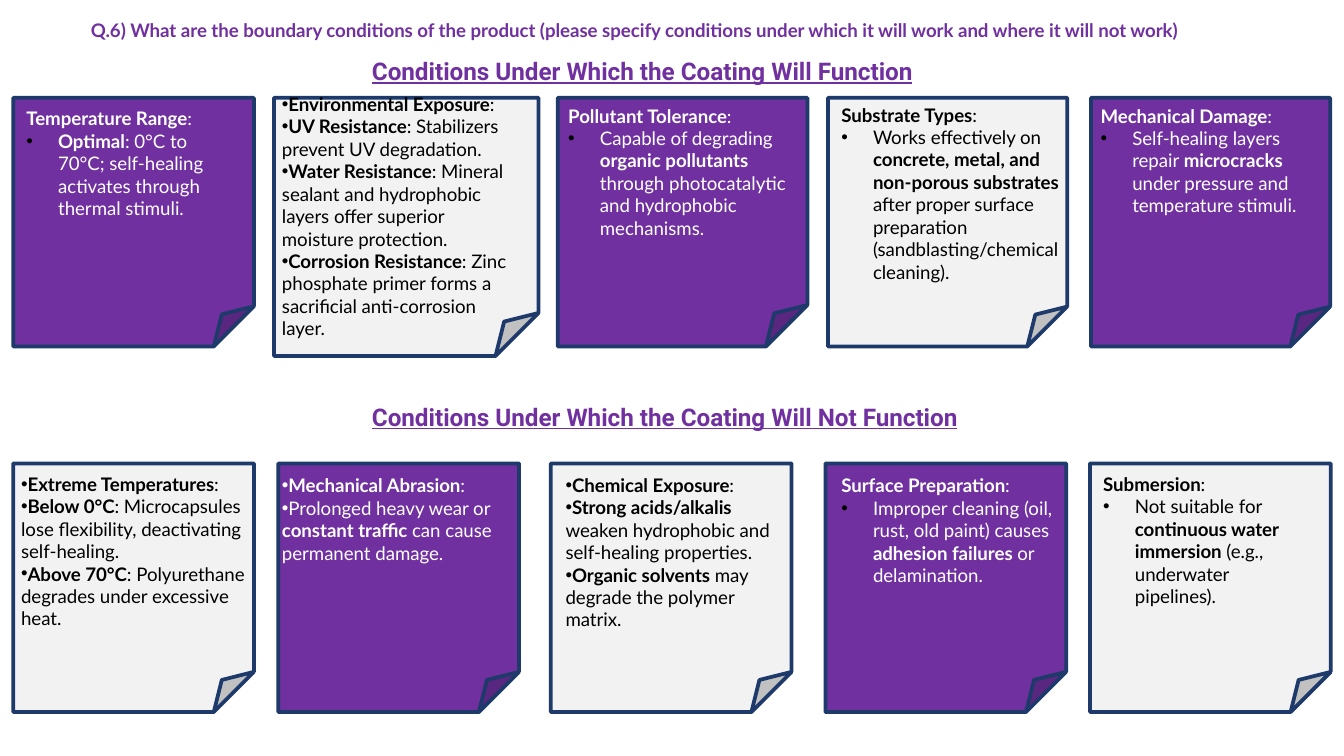
from dataclasses import dataclass

from lxml.etree import SubElement
from pptx import Presentation
from pptx.dml.color import RGBColor
from pptx.enum.shapes import MSO_SHAPE as Shape
from pptx.enum.text import MSO_AUTO_SIZE as AutoSize
from pptx.oxml.ns import qn
from pptx.util import Cm, Pt

PURPLE = RGBColor(0x70, 0x30, 0xA0)
LIGHT = RGBColor(0xF2, 0xF2, 0xF2)
NAVY = RGBColor(0x1D, 0x3A, 0x6B)
WHITE = RGBColor(0xFF, 0xFF, 0xFF)
BLACK = RGBColor(0x00, 0x00, 0x00)

HANGING = 0.6  # bullet indent in cm


@dataclass
class Note:
    card: tuple    # left, top, width, height in cm
    text: tuple    # left, top, width, height in cm
    lines: list    # heading first; *asterisks* enclose bold words
    inline: bool = False  # bullets sit directly before the words, heading too


# Top row: conditions under which the coating works
WORKS = [
    Note((0.25, 1.85, 4.55, 4.7), (0.25, 1.9, 4.19, 1.96), [
        "*Temperature Range*:",
        "*Optimal*: 0°C to 70°C; self-healing activates through thermal stimuli."]),
    Note((5.18, 1.85, 5, 4.88), (5.08, 1.63, 4.93, 4.95), [
        "*Environmental Exposure*:",
        "*UV Resistance*: Stabilizers prevent UV degradation.",
        "*Water Resistance*: Mineral sealant and hydrophobic layers offer "
        "superior moisture protection.",
        "*Corrosion Resistance*: Zinc phosphate primer forms a sacrificial "
        "anti-corrosion layer."], inline=True),
    Note((10.54, 1.85, 4.72, 4.7), (10.49, 1.85, 4.93, 2.39), [
        "*Pollutant Tolerance*:",
        "Capable of degrading *organic pollutants* through photocatalytic "
        "and hydrophobic mechanisms."]),
    Note((15.65, 1.85, 4.52, 4.7), (15.65, 1.83, 4.78, 3.25), [
        "*Substrate Types*:",
        "Works effectively on *concrete, metal, and non-porous substrates* "
        "after proper surface preparation (sandblasting/chemical cleaning)."]),
    Note((20.62, 1.85, 4.52, 4.7), (20.55, 1.85, 4.7, 1.96), [
        "*Mechanical Damage*:",
        "Self-healing layers repair *microcracks* under pressure and "
        "temperature stimuli."]),
]

# Bottom row: conditions under which it fails
FAILS = [
    Note((0.25, 8.76, 4.55, 4.7), (0.15, 8.81, 4.8, 3.68), [
        "*Extreme Temperatures*:",
        "*Below 0°C*: Microcapsules lose flexibility, deactivating self-healing.",
        "*Above 70°C*: Polyurethane degrades under excessive heat."], inline=True),
    Note((5.26, 8.76, 4.55, 4.7), (5.08, 8.84, 4.93, 2.39), [
        "*Mechanical Abrasion*:",
        "Prolonged heavy wear or *constant traffic* can cause permanent damage."],
        inline=True),
    Note((10.41, 8.76, 4.55, 4.7), (10.44, 8.83, 4.55, 3.68), [
        "*Chemical Exposure*:",
        "*Strong acids/alkalis* weaken hydrophobic and self-healing properties.",
        "*Organic solvents* may degrade the polymer matrix."], inline=True),
    Note((15.6, 8.76, 4.55, 4.7), (15.65, 8.84, 4.5, 2.39), [
        "*Surface Preparation*:",
        "Improper cleaning (oil, rust, old paint) causes *adhesion failures* "
        "or delamination."]),
    Note((20.6, 8.76, 4.55, 4.7), (20.6, 8.81, 4.5, 2.39), [
        "*Submersion*:",
        "Not suitable for *continuous water immersion* (e.g., underwater "
        "pipelines)."]),
]


def add_bullet(paragraph, hanging, color):
    properties = paragraph._p.get_or_add_pPr()
    indent = Cm(HANGING) if hanging else 0
    properties.set("marL", str(indent))
    properties.set("indent", str(-indent))
    bullet_color = SubElement(properties, qn("a:buClr"))
    SubElement(bullet_color, qn("a:srgbClr"), val=str(color))
    SubElement(properties, qn("a:buFont"), typeface="Arial")
    SubElement(properties, qn("a:buChar"), char="•")


def add_runs(paragraph, marked_text, color, size=10, font="Lato", underline=None):
    """Add the text run by run; every second piece between asterisks is bold."""
    for index, piece in enumerate(marked_text.split("*")):
        if piece:
            run = paragraph.add_run()
            run.text = piece
            run.font.name = font
            run.font.size = Pt(size)
            run.font.bold = index % 2 == 1
            run.font.underline = underline
            run.font.color.rgb = color


def add_text_frame(slide, box):
    frame = slide.shapes.add_textbox(*map(Cm, box)).text_frame
    frame.word_wrap = True
    frame.auto_size = AutoSize.SHAPE_TO_FIT_TEXT
    return frame


def add_section_heading(slide, top, wording):
    frame = add_text_frame(slide, (6.78, top, 12.7, 0.81))
    add_runs(frame.paragraphs[0], f"*{wording}*", PURPLE, 13, "Roboto", True)


def add_card(slide, box, fill):
    card = slide.shapes.add_shape(Shape.FOLDED_CORNER, *map(Cm, box))
    card.shadow.inherit = False
    card.fill.solid()
    card.fill.fore_color.rgb = fill
    card.line.color.rgb = NAVY
    card.line.width = Pt(2)


def add_note_text(slide, note, color):
    frame = add_text_frame(slide, note.text)
    for index, line in enumerate(note.lines):
        paragraph = frame.add_paragraph() if index else frame.paragraphs[0]
        if note.inline:
            add_bullet(paragraph, False, color)
        elif index:
            add_bullet(paragraph, True, BLACK)
        add_runs(paragraph, line, color)


def main():
    deck = Presentation()
    deck.slide_width, deck.slide_height = Cm(25.4), Cm(14.29)
    slide = deck.slides.add_slide(deck.slide_layouts[6])

    # Question
    question = add_text_frame(slide, (1.47, 0.23, 23.32, 0.69))
    add_runs(question.paragraphs[0],
             "*Q.6) What are the boundary conditions of the product (please specify "
             "conditions under which it will work and where it will not work)*", PURPLE)

    # Section headings
    add_section_heading(slide, 0.94, "Conditions Under Which the Coating Will Function")
    add_section_heading(slide, 7.47, "Conditions Under Which the Coating Will Not Function")

    # Notes, purple and light like a chequerboard
    for row, notes in enumerate((WORKS, FAILS)):
        for column, note in enumerate(notes):
            is_purple = (row + column) % 2 == 0
            add_card(slide, note.card, PURPLE if is_purple else LIGHT)
            add_note_text(slide, note, WHITE if is_purple else BLACK)

    deck.save("out.pptx")


if __name__ == "__main__":
    main()
